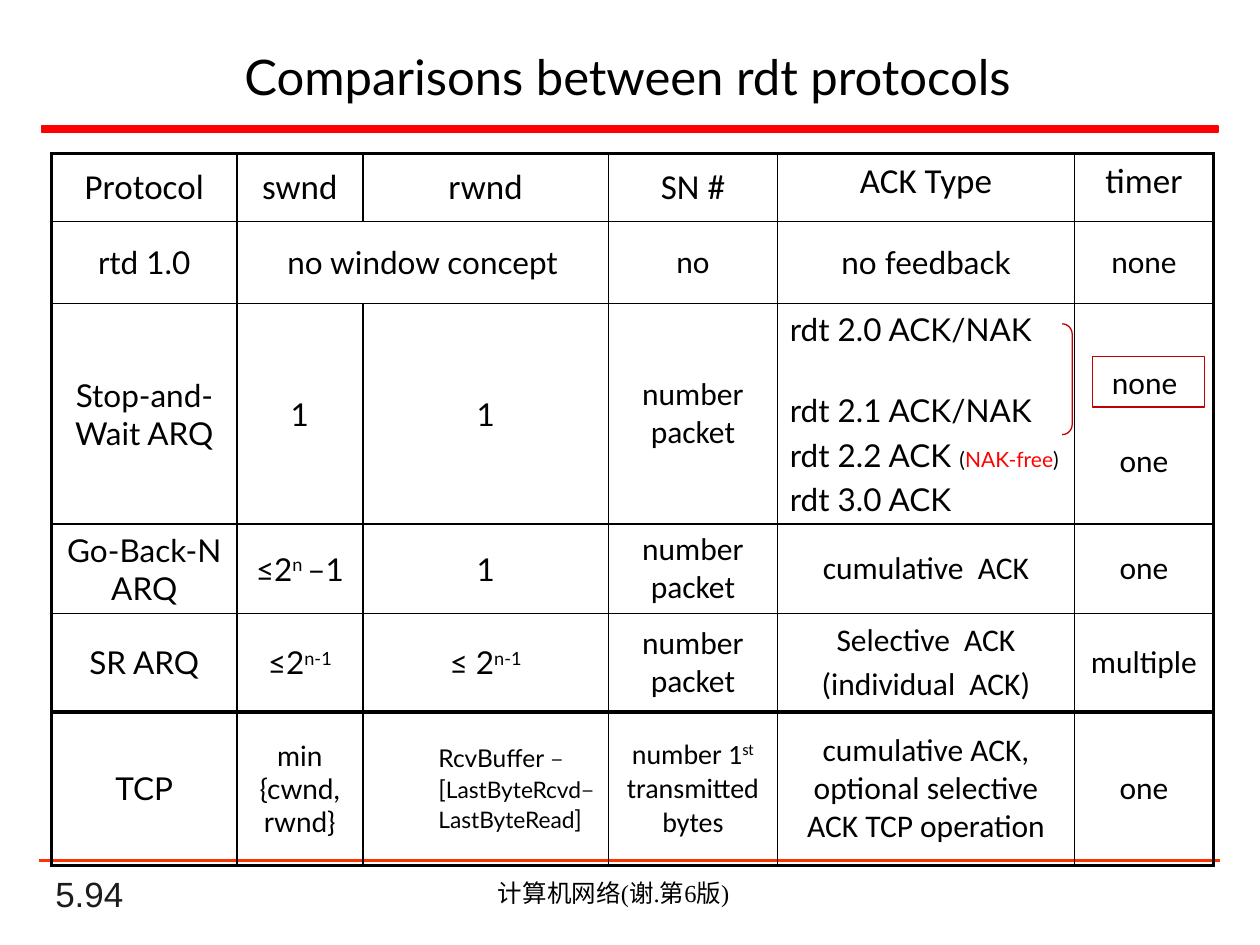
"""Build the slide that compares reliable data transfer protocols."""
from itertools import accumulate
from lxml import etree
from pptx import Presentation
from pptx import util as u
from pptx.dml.color import RGBColor
from pptx.enum import shapes, text
from pptx.oxml import ns

TITLE = "Comparisons between rdt protocols"
PAGE, FOOT = "5.94", "计算机网络(谢.第6版)"
BLACK, RED, WINE = "000000", "FF0000", "C00000"

SUP = {"sup": True}
SMALL = {"size": 12}
LATO = {"name": "Lato"}
SIGN = {"size": 14, "name": "Cambria"}
BUFF = {"size": 14}
LAST = {"size": 13}
MID = {"size": 16}

HEAD = ["Protocol", "swnd", "rwnd", "SN #", "ACK Type", "timer"]
FONTS = ["Lato", "Lato", "Lato", "Calibri", "Calibri", "Calibri"]
BODY = [
    ["rtd 1.0", "no window concept", None, "no", [[("no feedback", LATO)]], "none"],
    ["Stop-and-Wait ARQ", "1", "1", "number packet",
     [[("rdt 2.0 ACK/NAK", LATO)],
      [("rdt 2.1 ACK/NAK", LATO)],
      [("rdt 2.2 ACK ", LATO), ("(", LATO | SMALL),
       ("NAK-free", LATO | SMALL | {"hue": RED}), (")", LATO | SMALL)],
      [("rdt 3.0 ACK", LATO)]],
     "one"],
    ["Go-Back-N ARQ", [[("≤2", {}), ("n ", SUP), ("–1", {})]], "1",
     "number packet", "cumulative  ACK", "one"],
    ["SR ARQ", [[("≤2", {}), ("n-1", SUP)]], [[("≤ 2", {}), ("n-1", SUP)]],
     "number packet", [[("Selective  ACK", {})], [("(individual  ACK)", {})]], "multiple"],
    ["TCP", [[("min {cwnd, rwnd}", MID)]],
     [[("RcvBuffer ", BUFF), ("− ", SIGN), ("[", BUFF), ("LastByteRcvd", LAST),
       ("− ", SIGN), ("LastByteRead", LAST), ("]", BUFF)]],
     [[("number 1", MID), ("st", MID | SUP), (" transmitted bytes", MID)]],
     "cumulative ACK, optional selective ACK TCP operation", "one"],
]
COLS = [1.47, 1, 1.95, 1.34, 2.36, 1.1]
ROWS = [0.54, 0.65, 1.75, 0.71, 0.78, 1.22]
LEFT, TOP = 0.41, 1.22
MIDDLE, UPPER, LOWER = (text.MSO_ANCHOR.MIDDLE, text.MSO_ANCHOR.TOP,
                        text.MSO_ANCHOR.BOTTOM)
CENTER, START = text.PP_ALIGN.CENTER, text.PP_ALIGN.LEFT
CELLS = {
    (0, 4): {"vertical_anchor": UPPER},
    (0, 5): {"vertical_anchor": UPPER},
    (2, 4): {"vertical_anchor": UPPER},
    (2, 5): {"vertical_anchor": UPPER, "margin_top": u.Inches(1.1)},
    (5, 2): {"margin_left": u.Inches(0.6)},
}
ALIGN = {(2, 4): START, (5, 2): START}
GAPS = {(2, 4, 1): 25.2}


def box(*dims):
    return [u.Inches(d) for d in dims]


def hue(code):
    return RGBColor.from_string(code)


def put(item, form):
    for key, val in form.items():
        setattr(item, key, val)


def write(frame, paras, base, align=START, gaps=()):
    if isinstance(paras, str):
        paras = [[(paras, {})]]
    for i, runs in enumerate(paras):
        para = frame.paragraphs[0] if i == 0 else frame.add_paragraph()
        para.alignment = align
        if i:
            para.space_before = u.Pt(dict(gaps).get(i, 3.6))
        for words, more in runs:
            form = {"hue": BLACK} | base | more
            run = para.add_run()
            run.text = words
            put(run.font, {"name": form["name"], "size": u.Pt(form["size"])})
            run.font.color.rgb = hue(form["hue"])
            if form.get("sup"):
                run.font._element.set("baseline", "30000")


def edge(cell, widths):
    props = cell._tc.get_or_add_tcPr()
    for side, width in zip("LRTB", widths):
        line = etree.SubElement(props, ns.qn(f"a:ln{side}"), w=str(u.Pt(width)))
        fill = etree.SubElement(line, ns.qn("a:solidFill"))
        etree.SubElement(fill, ns.qn("a:srgbClr"), val=BLACK)


def rule(line, code, width):
    line.color.rgb = hue(code)
    line.width = u.Pt(width)


def shape(slide, kind, dims, code, width, fill=None):
    item = slide.shapes.add_shape(kind, *box(*dims))
    item.shadow.inherit = False
    if fill:
        item.fill.solid()
        item.fill.fore_color.rgb = hue(fill)
    else:
        item.fill.background()
    rule(item.line, code, width)
    return item


def label(slide, dims, words, base, align, anchor):
    frame = slide.shapes.add_textbox(*box(*dims)).text_frame
    put(frame, {"word_wrap": True, "vertical_anchor": anchor})
    write(frame, words, base, align)


def grid(slide):
    dims = box(LEFT, TOP, sum(COLS), sum(ROWS))
    table = slide.shapes.add_table(len(ROWS), len(COLS), *dims).table
    put(table, {"first_row": False, "horz_banding": False})
    for col, wide in zip(table.columns, COLS):
        col.width = u.Inches(wide)
    for row, high in zip(table.rows, ROWS):
        row.height = u.Inches(high)
    heavy, last = {0, len(ROWS) - 1, len(ROWS)}, len(COLS)
    for r, row in enumerate([HEAD] + BODY):
        for c, words in enumerate(row):
            cell = table.cell(r, c)
            thick = [c == 0, c + 1 == last, r in heavy, r + 1 in heavy]
            edge(cell, [2.25 if t else 1 for t in thick])
            cell.fill.background()
            put(cell, {"vertical_anchor": MIDDLE} | CELLS.get((r, c), {}))
            if words:
                base = {"name": FONTS[c] if r else "Calibri", "size": 18 if r else 20}
                gaps = {k[2]: v for k, v in GAPS.items() if k[:2] == (r, c)}
                write(cell.text_frame, words, base, ALIGN.get((r, c), CENTER), gaps)
    table.cell(1, 1).merge(table.cell(1, 2))


def main():
    deck = Presentation()
    put(deck, {"slide_width": u.Inches(10), "slide_height": u.Inches(7.5)})
    slide = deck.slides.add_slide(deck.slide_layouts[5])
    kinds = shapes.MSO_SHAPE

    head = slide.shapes.title
    put(head, dict(zip(("left", "top", "width", "height"), box(0.4, 0.25, 9.16, 0.7))))
    head.text_frame.vertical_anchor = MIDDLE
    write(head.text_frame, TITLE, {"name": "Lato", "size": 28}, CENTER)

    shape(slide, kinds.RECTANGLE, (0.33, 1, 9.34, 0.05), RED, 1, RED)
    line = slide.shapes.add_connector(shapes.MSO_CONNECTOR.STRAIGHT,
                                      *box(0.31, 6.83, 9.68, 6.83))
    rule(line.line, "FF3300", 1.5)
    etree.SubElement(line._element.spPr, ns.qn("a:effectLst"))
    label(slide, (0.34, 6.98, 2.08, 0.33), PAGE,
          {"name": "Arial", "size": 20, "hue": "1C1C1C"}, START, LOWER)
    label(slide, (2.83, 6.92, 4.08, 0.34), FOOT,
          {"name": "Times New Roman", "size": 14}, CENTER, UPPER)

    grid(slide)

    brace = shape(slide, kinds.RIGHT_BRACKET, (8.43, 2.57, 0.08, 0.88), WINE, 0.75)
    brace.adjustments[0] = 1.05
    none = shape(slide, kinds.RECTANGLE, (8.67, 2.83, 0.89, 0.4), WINE, 0.75)
    put(none.text_frame, {"word_wrap": True, "vertical_anchor": UPPER})
    write(none.text_frame, " none", {"name": "Calibri", "size": 18})
    deck.save("out.pptx")


if __name__ == "__main__":
    main()
